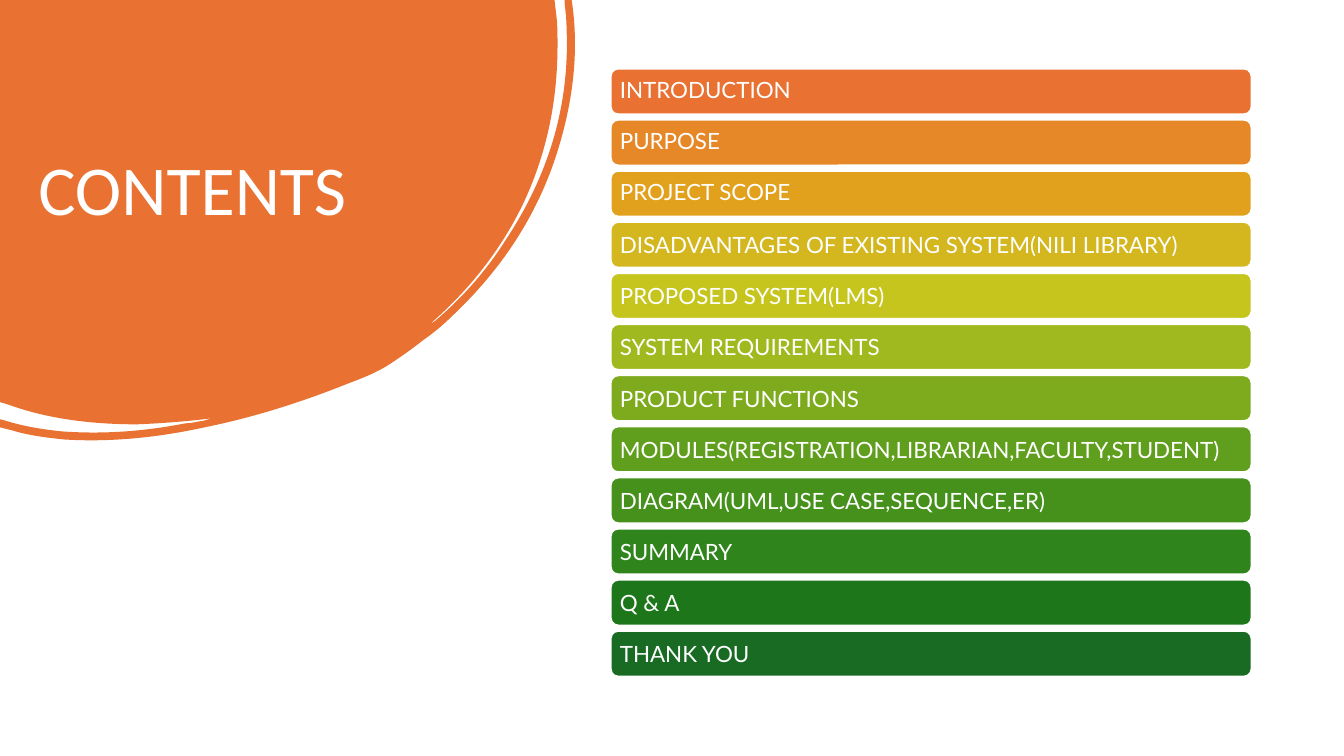
import lxml.etree
import pptx
import pptx.dml.color
import pptx.enum.shapes
import pptx.enum.text
import pptx.oxml.ns
import pptx.util

WIDE = pptx.util.Inches(13.33)
TALL = pptx.util.Inches(7.5)
UNIT = WIDE / 1333
WHITE = "FFFFFF"
ORANGE = "E97132"
MIDDLE = pptx.enum.text.MSO_ANCHOR.MIDDLE
LEFT = pptx.enum.text.PP_ALIGN.LEFT

ITEMS = [
    ("INTRODUCTION", ORANGE, 0.9),
    ("PURPOSE", "E68828", 0.9),
    ("PROJECT SCOPE", "E2A11D", 0.9),
    ("DISADVANTAGES OF EXISTING SYSTEM(NILI LIBRARY)", "D4B61E", 1.0),
    ("PROPOSED SYSTEM(LMS)", "C6C51E", 1.0),
    ("SYSTEM REQUIREMENTS", "A0B91E", 1.0),
    ("PRODUCT FUNCTIONS", "7EAB1E", 1.0),
    ("MODULES(REGISTRATION,LIBRARIAN,FACULTY,STUDENT)", "609E1D", 1.0),
    ("DIAGRAM(UML,USE CASE,SEQUENCE,ER)", "46911C", 1.0),
    ("SUMMARY", "2F841C", 1.0),
    ("Q & A", "1D771A", 1.0),
    ("THANK YOU", "196B24", 1.0),
]

BLOB = [
    (0, 0), (550, 0), (552, 17),
    (553, 26, 553, 36, 553, 45), (553, 101, 542, 154, 518, 204),
    (496, 249, 465, 288, 427, 321), (429, 321, 430, 319, 432, 318),
    (459, 295, 482, 269, 501, 239), (543, 176, 565, 107, 562, 30),
    (562, 21, 561, 12, 560, 3), (560, 0), (567, 0), (568, 7),
    (574, 54, 568, 102, 553, 150), (533, 214, 497, 268, 448, 314),
    (439, 323, 429, 331, 419, 338), (409, 346, 399, 353, 387, 361),
    (375, 369, 360, 375, 344, 381), (299, 399, 252, 414, 203, 424),
    (157, 434, 110, 439, 63, 436), (45, 434, 28, 432, 12, 427),
    (0, 424), (0, 416), (4, 417),
    (23, 423, 42, 426, 61, 428), (103, 431, 143, 428, 184, 420),
    (189, 420, 193, 419, 198, 418), (202, 418, 206, 416, 210, 415),
    (186, 418, 161, 420, 136, 421), (92, 421, 48, 416, 7, 401),
    (0, 399),
]


def color(code):
    """Turn a hex string into a colour."""
    return pptx.dml.color.RGBColor.from_string(code)


def assign(thing, values):
    """Set each attribute named in a dict."""
    for name, value in values.items():
        setattr(thing, name, value)


def place(box):
    """Turn a box in grid units into slide lengths."""
    return [round(side * UNIT) for side in box]


def paint(shape, fill, edge=None):
    """Give a shape a flat fill and an optional edge."""
    shape.shadow.inherit = False
    shape.fill.solid()
    shape.fill.fore_color.rgb = color(fill)
    if edge:
        shape.line.color.rgb = color(edge)
        shape.line.width = pptx.util.Pt(1.5)
    else:
        shape.line.fill.background()


def write(shape, text, frame, font, lead):
    """Write one white line of text into a shape."""
    assign(shape.text_frame, frame)
    para = shape.text_frame.paragraphs[0]
    para.text = text
    assign(para, {"alignment": LEFT, "line_spacing": lead})
    assign(para.runs[0].font, font)
    para.runs[0].font.color.rgb = color(WHITE)


def bend(shape, steps):
    """Join each run of three points into one cubic curve."""
    lines = iter(shape._element.xpath(".//a:lnTo"))
    for step in steps:
        line = next(lines)
        if len(step) == 2:
            continue
        line.tag = pptx.oxml.ns.qn("a:cubicBezTo")
        for spare in (next(lines), next(lines)):
            line.append(spare[0])
            spare.getparent().remove(spare)


def corner(slide, box):
    """Draw the corner blob at the back of its box."""
    left, top, width, height = place(box)
    points = [step[i:i + 2] for step in BLOB for i in range(0, len(step), 2)]
    pen = slide.shapes.build_freeform(*points[0], scale=UNIT)
    pen.add_line_segments(points[1:], close=True)
    blob = pen.convert_to_shape(left, top)
    bend(blob, BLOB[1:])
    outline = blob._element.xpath(".//a:path")[0]
    for name, side in (("w", box[2]), ("h", box[3])):
        outline.set(name, str(side))
    assign(blob, {"width": width, "height": height})
    paint(blob, ORANGE)
    slide.shapes._spTree.insert(2, blob._element)


def heading(slide, box):
    """Fill the title placeholder."""
    title = slide.shapes.title
    assign(title, dict(zip(("left", "top", "width", "height"), place(box))))
    frame = {"vertical_anchor": MIDDLE, "word_wrap": True,
             "margin_top": pptx.util.Inches(0.17),
             "auto_size": pptx.enum.text.MSO_AUTO_SIZE.NONE}
    font = {"name": "Calibri", "size": pptx.util.Pt(50)}
    write(title, "CONTENTS", frame, font, 0.9)


def agenda(slide, box):
    """Stack one bar per item evenly down the box."""
    left, top, width, height = box
    bar = 45.6
    pitch = (height - bar) / (len(ITEMS) - 1)
    sides = ("left", "right", "top", "bottom")
    frame = {"margin_" + side: pptx.util.Inches(0.07) for side in sides}
    frame.update(vertical_anchor=MIDDLE, word_wrap=True)
    font = {"name": "Lato", "size": pptx.util.Pt(16)}
    for row, (text, fill, lead) in enumerate(ITEMS):
        shape = slide.shapes.add_shape(
            pptx.enum.shapes.MSO_SHAPE.ROUNDED_RECTANGLE,
            *place((left, top + row * pitch, width, bar)))
        paint(shape, fill, WHITE)
        write(shape, text, frame, font, lead)


def main():
    """Build and save the contents slide."""
    deck = pptx.Presentation()
    assign(deck, {"slide_width": WIDE, "slide_height": TALL})
    slide = deck.slides.add_slide(deck.slide_layouts[5])
    corner(slide, (0, 0, 571, 437))
    heading(slide, (28, 74, 416, 222))
    agenda(slide, (605.6, 68, 635.8, 603.4))
    deck.save("out.pptx")


if __name__ == "__main__":
    main()
